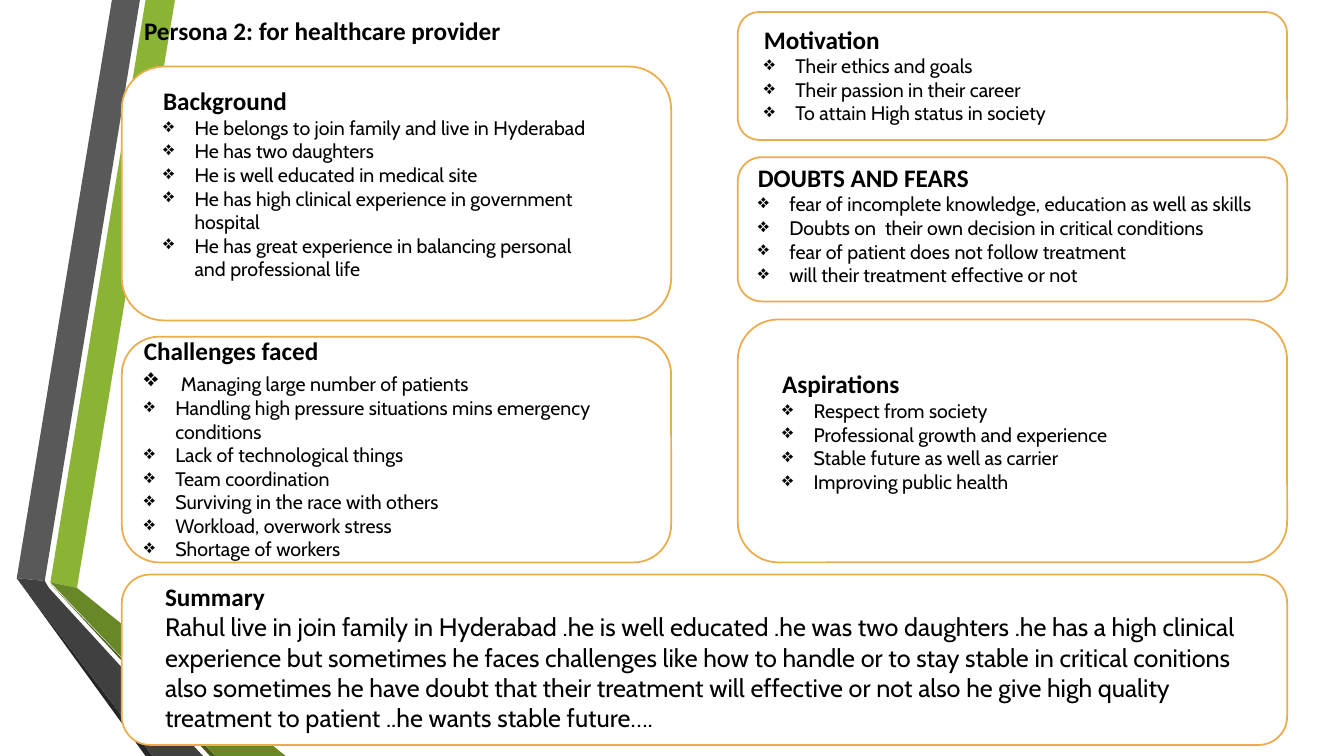
from lxml.etree import SubElement
from pptx import Presentation
from pptx.dml.color import RGBColor
from pptx.enum.shapes import MSO_SHAPE
from pptx.oxml.ns import qn
from pptx.util import Pt

BLACK = RGBColor(0x00, 0x00, 0x00)
WHITE = RGBColor(0xFF, 0xFF, 0xFF)
ORANGE = RGBColor(0xEB, 0xAC, 0x4B)
GREEN = RGBColor(0x8B, 0xB4, 0x34)
GREEN_MID = RGBColor(0x68, 0x87, 0x27)
GREEN_DARK = RGBColor(0x46, 0x5A, 0x1A)
GRAY = RGBColor(0x59, 0x59, 0x59)
GRAY_MID = RGBColor(0x40, 0x40, 0x40)
GRAY_DARK = RGBColor(0x26, 0x26, 0x26)

HEADING_FONT, BODY_FONT = "Calibri", "Cabin"
WIDTH, HEIGHT = 960, 540
LEFT_X, RIGHT_X, CARD_W = 87, 527, 392.4
INDENT = 22.5

RIBBON_FACETS = [
    (GREEN, [(36, 416.2), (55.4, 419.8), (124.6, 0), (104.4, 0)]),
    (GRAY, [(100.1, 0), (79.9, 0), (11.5, 412.6), (31.7, 415.4)]),
    (GRAY_DARK, [(11.5, 412.6), (104.4, HEIGHT), (108.7, HEIGHT)]),
    (GREEN_DARK, [(36, 416.9), (149.8, HEIGHT), (154.1, HEIGHT)]),
    (GREEN_MID, [(36, 416.5), (154.1, HEIGHT), (203.8, HEIGHT), (55.4, 419.8)]),
    (GRAY_MID, [(145.4, HEIGHT), (34.6, 419.8), (31.7, 415.4), (11.5, 412.6),
                (108.7, HEIGHT)]),
]

CARDS = [
    ((LEFT_X, 47.5, CARD_W, 181.4), (22.4, 10.1, 320.4), "Background", [
        "He belongs to join family and live in Hyderabad",
        "He has two daughters",
        "He is well educated in medical site",
        "He has high clinical experience in government hospital",
        "He has great experience in balancing personal and professional life"]),
    ((LEFT_X, 240.5, CARD_W, 161.3), (8.6, -4.3, 373.7), "Challenges faced", [
        " Managing large number of patients",
        "Handling high pressure situations mins emergency conditions",
        "Lack of technological things",
        "Team coordination",
        "Surviving in the race with others",
        "Workload, overwork stress",
        "Shortage of workers"]),
    ((RIGHT_X, 8.6, CARD_W, 91.4), (11.5, 5, 346.3), "Motivation", [
        "Their ethics and goals",
        "Their passion in their career",
        "To attain High status in society"]),
    ((RIGHT_X, 112.3, CARD_W, 103), (7.2, 0, 425.5), "DOUBTS AND FEARS", [
        "fear of incomplete knowledge, education as well as skills",
        "Doubts on  their own decision in critical conditions",
        "fear of patient does not follow treatment",
        "will their treatment effective or not"]),
    ((RIGHT_X, 228.2, CARD_W, 173.5), (24.5, 31.7, 361.4), "Aspirations", [
        "Respect from society",
        "Professional growth and experience",
        "Stable future as well as carrier",
        "Improving public health"]),
]

SUMMARY = (
    "Rahul live in join family in Hyderabad .he is well educated .he was two "
    "daughters .he has a high clinical experience but sometimes he faces "
    "challenges like how to handle or to stay stable in critical conitions also "
    "sometimes he have doubt that their treatment will effective or not also he "
    "give high quality treatment to patient ..he wants stable future….")


def add_run(p, text, size=18, font=BODY_FONT, bold=False, color=BLACK):
    """Append a formatted run to a paragraph."""
    r = p.add_run()
    r.text = text
    r.font.size = Pt(size)
    r.font.name = font
    r.font.bold = bold
    r.font.color.rgb = color


def add_bullet(p):
    """Give a paragraph a diamond bullet with a hanging indent."""
    pPr = p._p.get_or_add_pPr()
    pPr.set("marL", str(Pt(INDENT)))
    pPr.set("indent", str(-Pt(INDENT)))
    SubElement(pPr, qn("a:buChar")).set("char", "❖")


def add_heading_box(slide, box, heading):
    """Add a wrapped text box that opens with a bold heading."""
    tf = slide.shapes.add_textbox(*map(Pt, box)).text_frame
    tf.word_wrap = True
    add_run(tf.paragraphs[0], heading, font=HEADING_FONT, bold=True)
    return tf


def add_card(slide, box, inset, heading):
    """Draw a rounded card and return its text frame, placed by the inset."""
    sp = slide.shapes.add_shape(MSO_SHAPE.ROUNDED_RECTANGLE, *map(Pt, box))
    sp.shadow.inherit = False
    sp.fill.solid()
    sp.fill.fore_color.rgb = WHITE
    sp.line.color.rgb = ORANGE
    sp.line.width = Pt(1.25)
    x, y, w, h = box
    dx, dy, text_w = inset
    return add_heading_box(slide, (x + dx, y + dy, text_w, h - dy), heading)


def add_list_card(slide, box, inset, heading, items):
    """Add a card holding a heading and a bulleted list."""
    tf = add_card(slide, box, inset, heading)
    for item in items:
        p = tf.add_paragraph()
        add_bullet(p)
        if item.startswith(" "):
            add_run(p, " ")
        add_run(p, item.strip(), size=14)


def add_summary_card(slide, box, inset):
    """Add the wide card with the summary paragraph."""
    tf = add_card(slide, box, inset, "Summary")
    add_run(tf.add_paragraph(), SUMMARY)


def add_ribbon(slide):
    """Draw the folded ribbon along the left edge."""
    for color, points in RIBBON_FACETS:
        builder = slide.shapes.build_freeform(*points[0], scale=Pt(1))
        builder.add_line_segments(points[1:], close=True)
        sp = builder.convert_to_shape()
        sp.shadow.inherit = False
        sp.fill.solid()
        sp.fill.fore_color.rgb = color
        sp.line.fill.background()


def main():
    """Build and save the persona slide."""
    prs = Presentation()
    prs.slide_width, prs.slide_height = Pt(WIDTH), Pt(HEIGHT)
    slide = prs.slides.add_slide(prs.slide_layouts[6])
    add_ribbon(slide)
    add_heading_box(slide, (95.8, 7.2, 543, 28.8),
                    "Persona 2: for healthcare provider")
    for card in CARDS:
        add_list_card(slide, *card)
    add_summary_card(slide, (LEFT_X, 410.4, RIGHT_X + CARD_W - LEFT_X, 121.7),
                     (23.8, 1.4, 797))
    prs.save("out.pptx")


if __name__ == "__main__":
    main()
